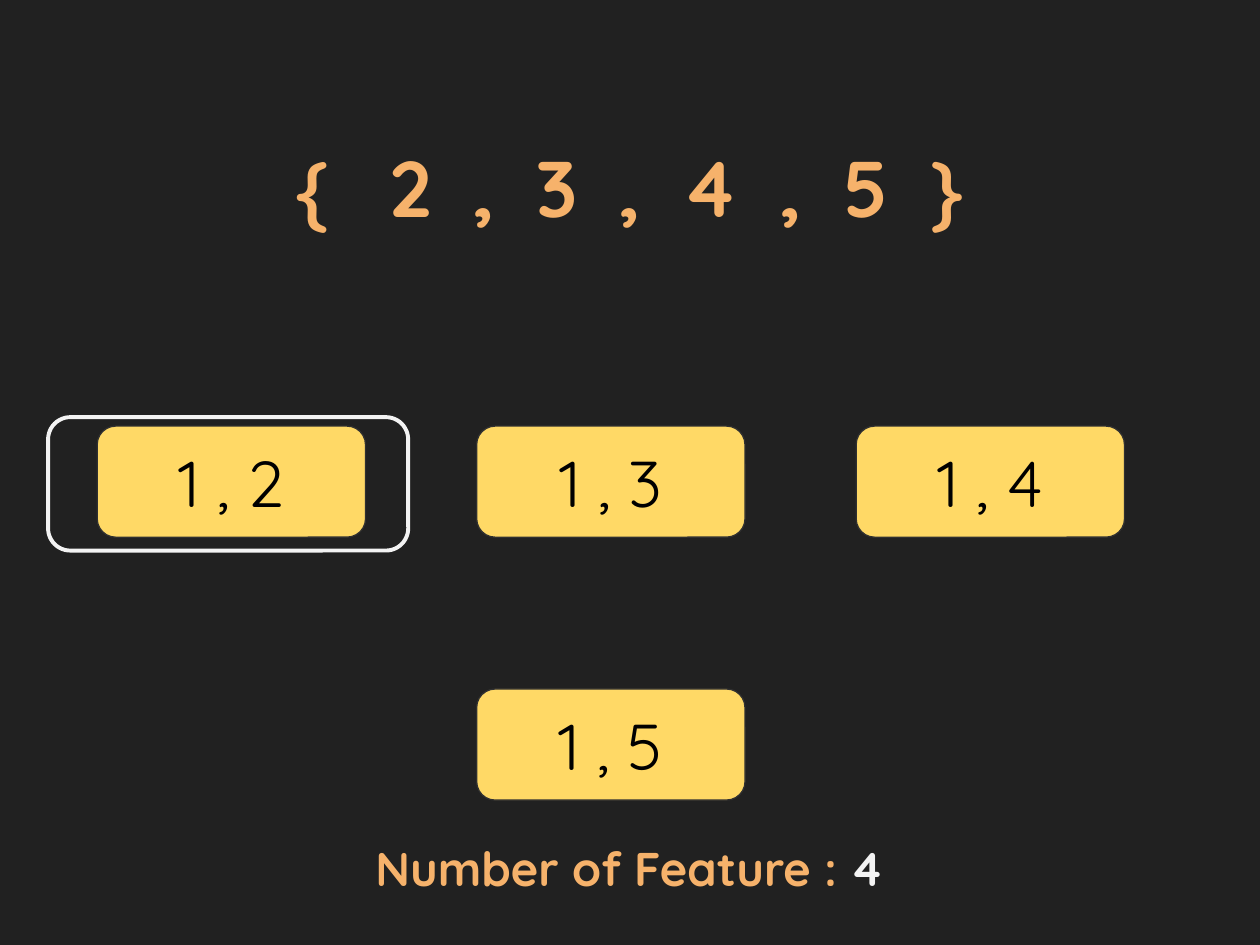
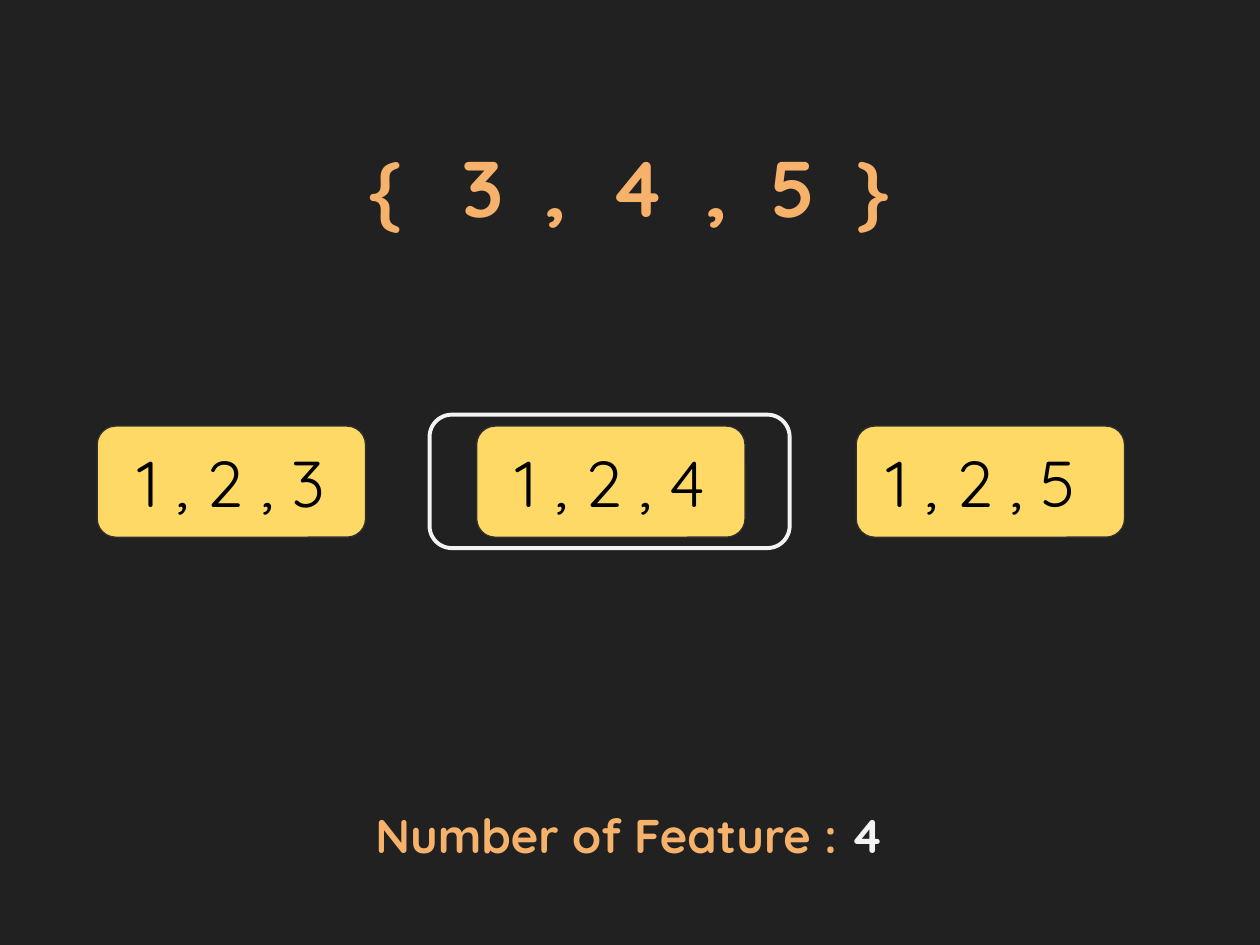
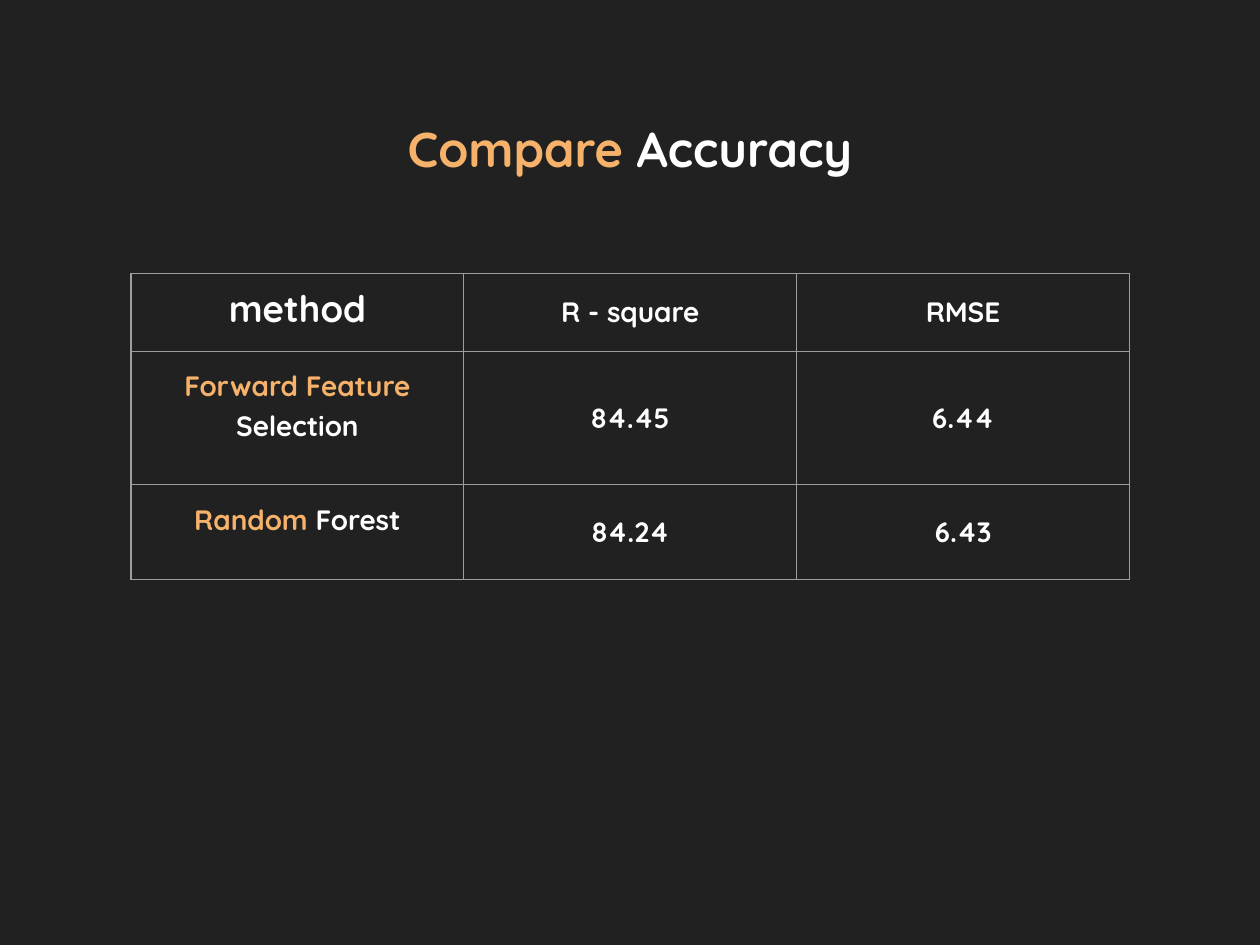
import pptx
import pptx.util
import pptx.dml.color
import pptx.enum.shapes
import pptx.enum.text
import pptx.oxml
import pptx.oxml.ns

Cm = pptx.util.Cm
Pt = pptx.util.Pt
RGBColor = pptx.dml.color.RGBColor
ANCHOR = pptx.enum.text.MSO_ANCHOR
ROUNDED = pptx.enum.shapes.MSO_SHAPE.ROUNDED_RECTANGLE

FONT = "Quicksand"
DARK = RGBColor(0x21, 0x21, 0x21)
ORANGE = RGBColor(0xF6, 0xB2, 0x6B)
YELLOW = RGBColor(0xFF, 0xD9, 0x66)
EDGE = RGBColor(0x30, 0x30, 0x30)
LIGHT = RGBColor(0xF3, 0xF3, 0xF3)
WHITE = RGBColor(0xFF, 0xFF, 0xFF)
BLACK = RGBColor(0x00, 0x00, 0x00)
GRID = RGBColor(0x9E, 0x9E, 0x9E)

INSET = Cm(0.25)
LEFT, TEXT_W = 1.96, 21.46
BOX_W, BOX_H, BOX_STEP = 5.41, 2.24, 7.65
ROW_TOPS = [8.59, 13.89]
FRAME_W, FRAME_H = 7.26, 2.69
SPACE_GAP = 11.25  # extra width that doubles a space in the set line


def write(tf, runs, size, bold=True, line_spacing=None):
    """Fill a text frame with one centred paragraph of (text, colour) runs."""
    tf.word_wrap = True
    p = tf.paragraphs[0]
    p.alignment = pptx.enum.text.PP_ALIGN.CENTER
    if line_spacing:
        p.line_spacing = line_spacing
    for text, color in runs:
        r = p.add_run()
        r.text = text
        r.font.name = FONT
        r.font.size = Pt(size)
        r.font.bold = bold
        r.font.color.rgb = color
    return p


def add_text(s, left, top, width, height, runs, size, line_spacing=None):
    """Add a text box with even insets and return its paragraph."""
    tf = s.shapes.add_textbox(Cm(left), Cm(top), Cm(width), Cm(height)).text_frame
    tf.margin_left = tf.margin_right = tf.margin_top = tf.margin_bottom = INSET
    return write(tf, runs, size, line_spacing=line_spacing)


prs = pptx.Presentation()
prs.slide_width = Cm(25.4)
prs.slide_height = Cm(19.05)

slides = []
for _ in range(3):
    s = prs.slides.add_slide(prs.slide_layouts[6])
    s.background.fill.solid()
    s.background.fill.fore_color.rgb = DARK
    slides.append(s)

# Selection steps: remaining features, candidates (text, column, row), footer top, frame
steps = [
    ("2,3,4,5",
     [("1 , 5", 1, 1), ("1 , 2", 0, 0), ("1 , 3", 1, 0), ("1 , 4", 2, 0)],
     16.66, (0.97, 8.41)),
    ("3,4,5",
     [("1 , 2 , 3", 0, 0), ("1 , 2 , 4", 1, 0), ("1 , 2 , 5 ", 2, 0)],
     16.0, (8.66, 8.36)),
]
for s, (features, candidates, footer_top, frame) in zip(slides, steps):
    # Set of remaining features, with widened spaces between the symbols
    runs = [("{", ORANGE)]
    for symbol in features + "}":
        runs += [(" ", ORANGE), (symbol, ORANGE)]
    p = add_text(s, LEFT, 2.54, TEXT_W, 2.95, runs, 45)
    for i, r in enumerate(p.runs[1::2]):
        gap = SPACE_GAP * (2 if i == 0 else 1)
        r.font._element.set("spc", str(int(gap * 100)))

    # Candidate boxes
    for text, col, row in candidates:
        sp = s.shapes.add_shape(ROUNDED, Cm(LEFT + col * BOX_STEP), Cm(ROW_TOPS[row]),
                                Cm(BOX_W), Cm(BOX_H))
        sp.shadow.inherit = False
        sp.fill.solid()
        sp.fill.fore_color.rgb = YELLOW
        sp.line.color.rgb = EDGE
        sp.line.width = Pt(0.75)
        tf = sp.text_frame
        tf.margin_left = tf.margin_right = tf.margin_top = tf.margin_bottom = INSET
        tf.vertical_anchor = ANCHOR.MIDDLE
        write(tf, [(text, BLACK)], 37, bold=False)

    # Footer and frame around the chosen candidate
    add_text(s, LEFT, footer_top, TEXT_W, 1.6,
             [("Number of Feature : ", ORANGE), ("4", LIGHT)], 27)
    sp = s.shapes.add_shape(ROUNDED, Cm(frame[0]), Cm(frame[1]), Cm(FRAME_W), Cm(FRAME_H))
    sp.shadow.inherit = False
    sp.fill.background()
    sp.line.color.rgb = LIGHT
    sp.line.width = Pt(2.25)

# Accuracy table
s = slides[2]
rows = [
    ([("method", WHITE)], "R - square", "RMSE"),
    ([("Forward Feature ", ORANGE), ("Selection", WHITE)], "84.45", "6.44"),
    ([("Random", ORANGE), (" Forest", WHITE)], "84.24", "6.43"),
]
col_w, row_heights = 6.71, [1.57, 2.69, 1.91]
table = s.shapes.add_table(3, 3, Cm(2.64), Cm(5.51), Cm(3 * col_w),
                           Cm(sum(row_heights))).table
table.first_row = False
table.horz_banding = False
for column in table.columns:
    column.width = Cm(col_w)
for i, (method, *values) in enumerate(rows):
    table.rows[i].height = Cm(row_heights[i])
    for j, runs in enumerate([method] + [[(value, WHITE)] for value in values]):
        cell = table.cell(i, j)
        cell.margin_left = cell.margin_right = cell.margin_top = cell.margin_bottom = INSET
        cell.vertical_anchor = ANCHOR.MIDDLE if j else ANCHOR.TOP
        write(cell.text_frame, runs, 21 if i == j == 0 else 16,
              line_spacing=1.15 if i and j == 0 else None)
        for side in "LRTB":
            cell._tc.get_or_add_tcPr().append(pptx.oxml.parse_xml(
                f'<a:ln{side} {pptx.oxml.ns.nsdecls("a")} w="{Pt(0.75)}"><a:solidFill>'
                f'<a:srgbClr val="{GRID}"/></a:solidFill></a:ln{side}>'))
        cell.fill.background()

# Title
add_text(s, 0, 1.96, 25.4, 2.46, [("Compare", ORANGE), (" Accuracy", WHITE)], 28,
         line_spacing=1.15)

prs.save("out.pptx")
